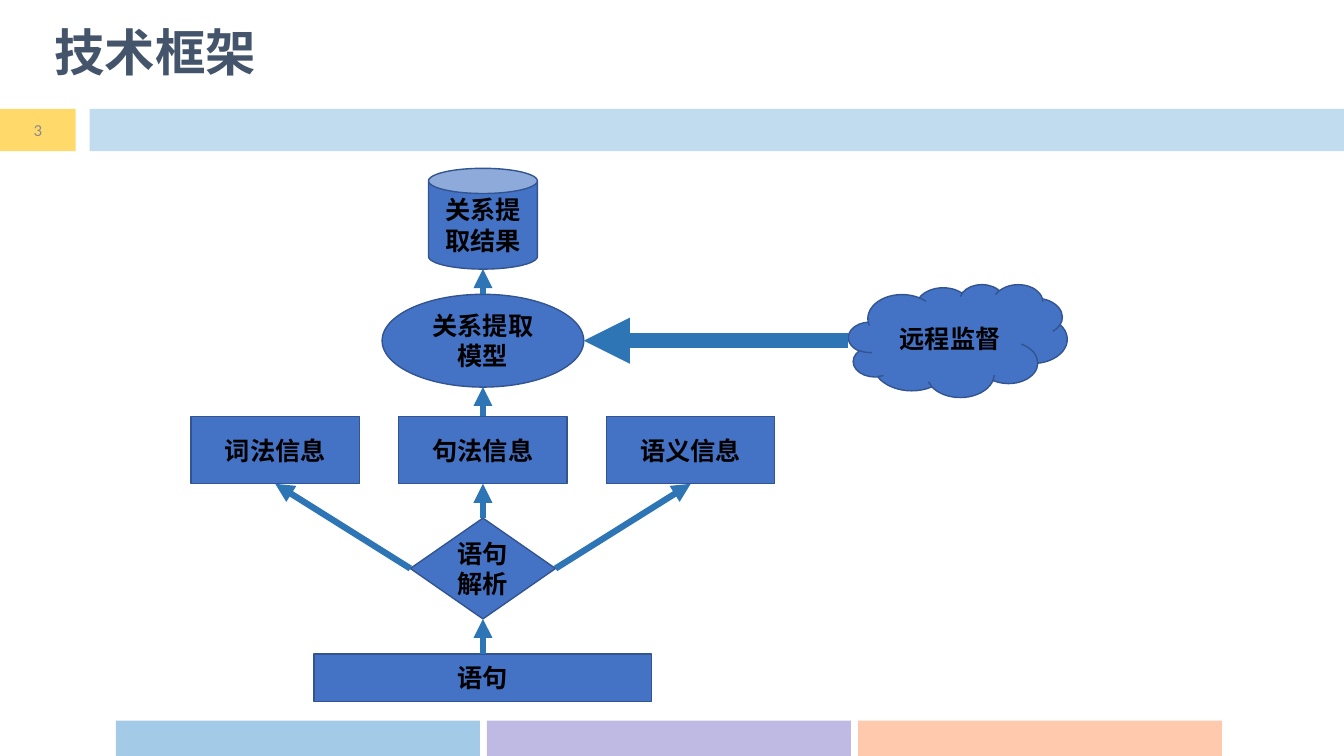
from lxml.etree import SubElement
from pptx import Presentation
from pptx.dml.color import RGBColor
from pptx.enum.shapes import MSO_CONNECTOR, MSO_SHAPE as Preset
from pptx.enum.text import MSO_ANCHOR as Anchor, PP_ALIGN as Align
from pptx.oxml.ns import qn
from pptx.util import Inches, Pt

COLORS = {
    "title": "44546A", "number": "8C8C8C", "text": "000000",
    "node": "4472C4", "outline": "325491", "arrow": "2E75B6",
    "blue": "0070C0", "orange": "FF9966", "purple": "BFBAE4", "yellow": "FFC000",
}
CJK_FONT = "Noto Sans CJK SC"
NODE_FORMAT = {"name": CJK_FONT, "size": Pt(18), "bold": True}
TITLE_FORMAT = {"name": "Times New Roman", "size": Pt(36), "bold": True}
NUMBER_FORMAT = {"name": "Calibri", "size": Pt(12), "bold": False}

CENTER_X = 4.79      # axis of the upward flow
INFO_PITCH = 2.06
FOOTER_PITCH = 3.68
TOP, LEFT, BOTTOM, RIGHT = range(4)


def rgb(color):
    return RGBColor.from_string(COLORS[color])


def write_text(shape, text, font_format, color, align):
    frame = shape.text_frame
    frame.word_wrap = True
    frame.vertical_anchor = Anchor.MIDDLE
    paragraph = frame.paragraphs[0]
    paragraph.alignment = align
    run = paragraph.add_run()
    run.text = text
    for name, value in font_format.items():
        setattr(run.font, name, value)
    run.font.color.rgb = rgb(color)
    SubElement(run.font._element, qn("a:ea"), typeface=CJK_FONT)
    return paragraph


def add_filled(slide, preset, box, color):
    shape = slide.shapes.add_shape(preset, *map(Inches, box))
    shape.shadow.inherit = False
    shape.fill.solid()
    shape.fill.fore_color.rgb = rgb(color)
    return shape


def add_band(slide, box, color, opacity=100):
    band = add_filled(slide, Preset.RECTANGLE, box, color)
    band.line.fill.background()
    if opacity < 100:
        color_element = band._element.spPr.find(".//" + qn("a:srgbClr"))
        SubElement(color_element, qn("a:alpha"), val=str(opacity * 1000))
    return band


def add_node(slide, preset, text, center_x, top, width, height):
    box = (center_x - width / 2, top, width, height)
    node = add_filled(slide, preset, box, "node")
    node.line.color.rgb = rgb("outline")
    node.line.width = Pt(1)
    write_text(node, text, NODE_FORMAT, "text", Align.CENTER)
    return node


def side_point(shape, side):
    middle_x = shape.left + shape.width // 2
    middle_y = shape.top + shape.height // 2
    return {
        TOP: (middle_x, shape.top),
        LEFT: (shape.left, middle_y),
        BOTTOM: (middle_x, shape.top + shape.height),
        RIGHT: (shape.left + shape.width, middle_y),
    }[side]


def add_arrow(slide, start, start_side, end, end_side, width=4.5):
    arrow = slide.shapes.add_connector(
        MSO_CONNECTOR.STRAIGHT,
        *side_point(start, start_side), *side_point(end, end_side))
    # Only four-sided shapes have one joint per side
    four_sided = (Preset.RECTANGLE, Preset.DIAMOND)
    if start.auto_shape_type in four_sided:
        arrow.begin_connect(start, start_side)
    if end.auto_shape_type in four_sided:
        arrow.end_connect(end, end_side)
    arrow.line.color.rgb = rgb("arrow")
    arrow.line.width = Pt(width)
    SubElement(arrow.line._get_or_add_ln(), qn("a:tailEnd"), type="triangle")
    SubElement(arrow._element.spPr, qn("a:effectLst"))


def add_title(slide, text):
    title = slide.shapes.title
    title.left, title.top, title.width, title.height = map(
        Inches, (0.44, -0.08, 12.52, 1.25))
    paragraph = write_text(title, text, TITLE_FORMAT, "title", Align.LEFT)
    paragraph.line_spacing = 0.9


def add_frame(slide):
    footer = [("blue", 36), ("purple", 100), ("orange", 53)]
    for index, (color, opacity) in enumerate(footer):
        box = (1.15 + index * FOOTER_PITCH, 7.15, 3.61, 0.36)
        add_band(slide, box, color, opacity)
    add_band(slide, (0.89, 1.08, 12.44, 0.42), "blue", 24)
    number = add_band(slide, (0, 1.08, 0.75, 0.42), "yellow", 59)
    write_text(number, "3", NUMBER_FORMAT, "number", Align.CENTER)


def add_flow(slide):
    # Nodes
    lexical, syntactic, semantic = [
        add_node(slide, Preset.RECTANGLE, text,
                 CENTER_X + offset * INFO_PITCH, 4.13, 1.67, 0.67)
        for offset, text in zip((-1, 0, 1), ("词法信息", "句法信息", "语义信息"))]
    sentence = add_node(slide, Preset.RECTANGLE, "语句", CENTER_X, 6.49, 3.35, 0.47)
    analysis = add_node(slide, Preset.DIAMOND, "语句解析", CENTER_X, 5.14, 1.44, 1)
    model = add_node(slide, Preset.OVAL, "关系提取模型", CENTER_X, 2.92, 2, 0.92)
    result = add_node(slide, Preset.CAN, "关系提取结果", CENTER_X, 1.67, 1.08, 1)
    supervision = add_node(slide, Preset.CLOUD, "远程监督", 9.5, 2.82, 2.17, 1.12)

    # Arrows
    upward = [(sentence, analysis), (analysis, syntactic),
              (syntactic, model), (model, result)]
    for start, end in upward:
        add_arrow(slide, start, TOP, end, BOTTOM)
    add_arrow(slide, analysis, LEFT, lexical, BOTTOM)
    add_arrow(slide, analysis, RIGHT, semantic, BOTTOM)
    add_arrow(slide, supervision, LEFT, model, RIGHT, width=11)


def main():
    presentation = Presentation()
    presentation.slide_width = Inches(13.33)
    presentation.slide_height = Inches(7.5)
    slide = presentation.slides.add_slide(presentation.slide_layouts[5])
    add_frame(slide)
    add_title(slide, "技术框架")
    add_flow(slide)
    presentation.save("out.pptx")


if __name__ == "__main__":
    main()
